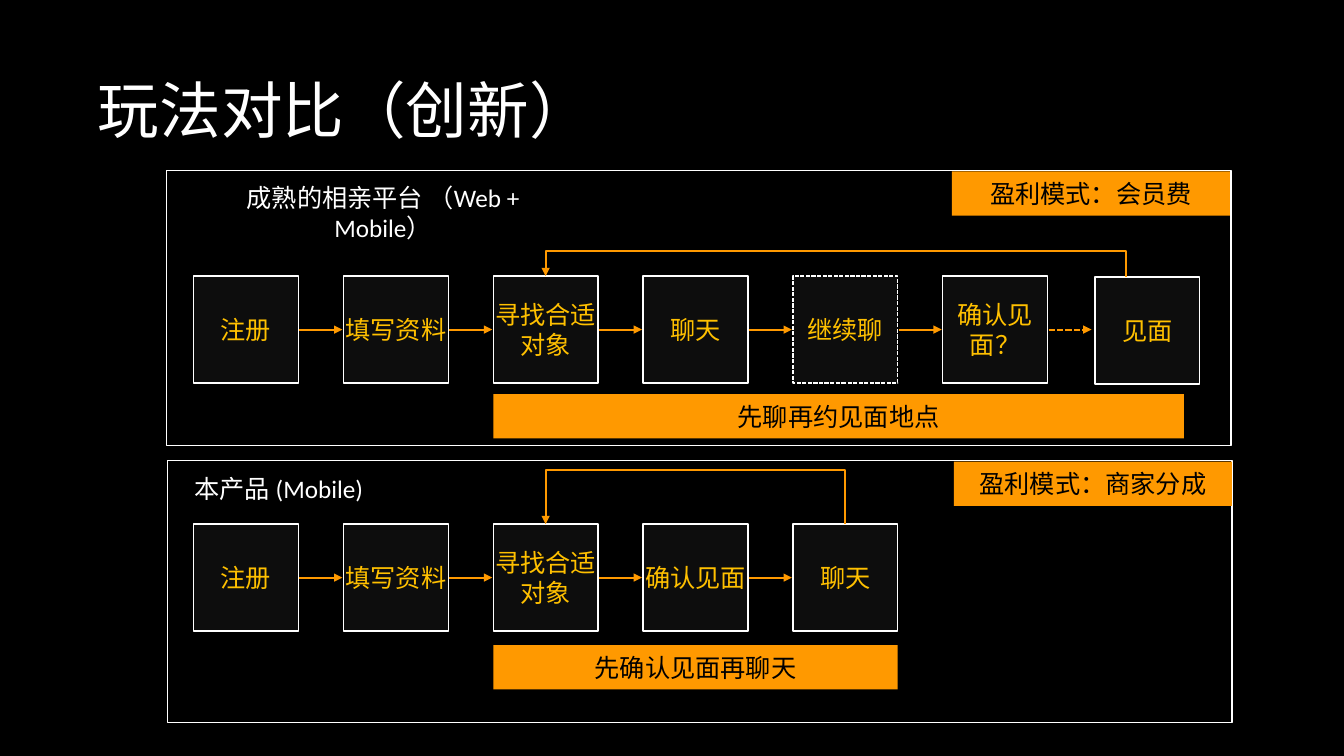
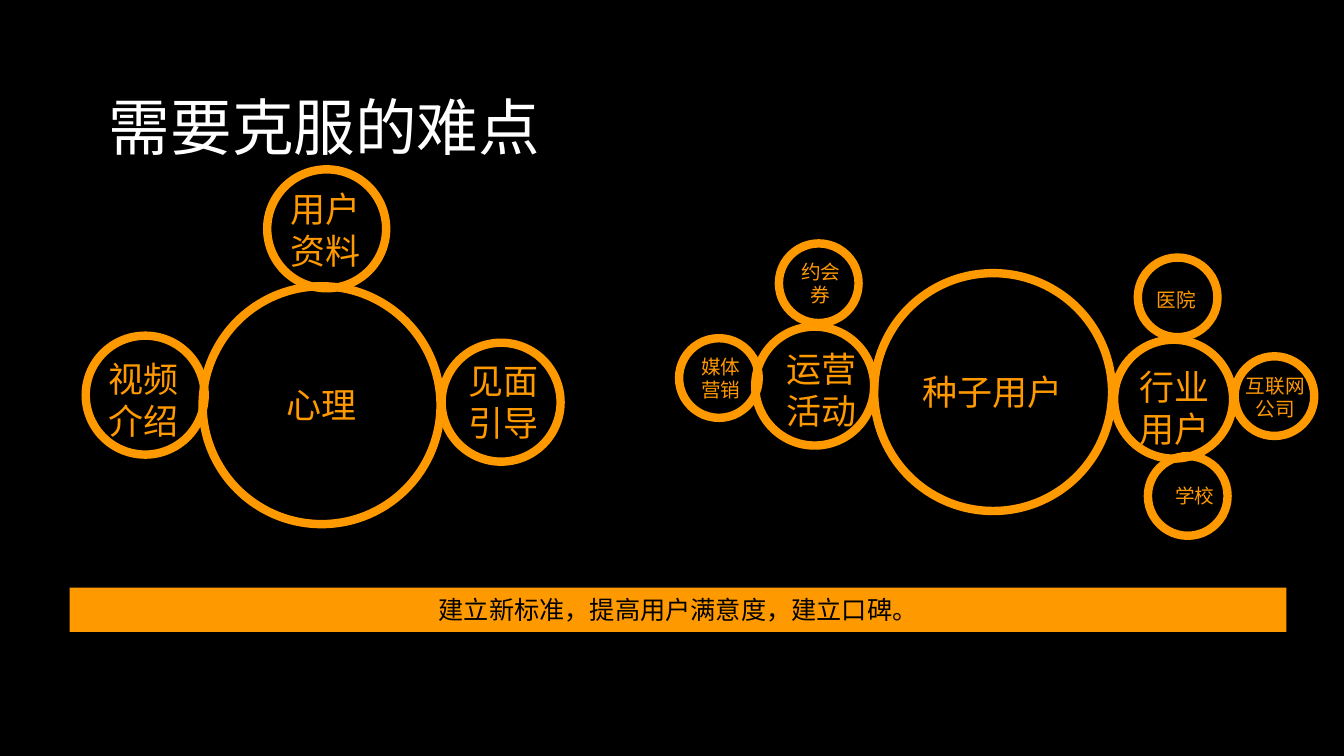
"""Builds two slides: a comparison of dating flows and the difficulties to overcome."""
from dataclasses import dataclass
from typing import Optional

import pptx
import pptx.dml.color
import pptx.enum.dml
import pptx.enum.shapes
import pptx.enum.text
import pptx.oxml
import pptx.oxml.ns
import pptx.util
from pptx.util import Inches

BLACK, WHITE, ORANGE, GOLD, CHARCOAL = "000000", "FFFFFF", "FF9900", "FFC000", "0D0D0D"
FONT = "Calibri"
BAND_HEIGHT = 0.44
STEP_WIDTH, STEP_HEIGHT = 1.04, 1.06
FIRST_STEP_LEFT = 1.92
STEP_PITCH = (9.35 - FIRST_STEP_LEFT) / 5
DASH = pptx.enum.dml.MSO_LINE.SQUARE_DOT
RECTANGLE = pptx.enum.shapes.MSO_SHAPE.RECTANGLE
OVAL = pptx.enum.shapes.MSO_SHAPE.OVAL
CENTER = pptx.enum.text.PP_ALIGN.CENTER
LEFT = pptx.enum.text.PP_ALIGN.LEFT


@dataclass
class Step:
    """One box of a flow; left is given only when it leaves the regular pitch."""
    text: str
    dashed: bool = False
    left: Optional[float] = None
    drop: float = 0


@dataclass
class Flow:
    """A framed process with its revenue tag, summary band and return arrow."""
    frame: tuple[float, float, float, float]
    heading: str
    heading_box: tuple[float, float, float, float]
    heading_wraps: bool
    revenue: str
    revenue_at: tuple[float, float]
    summary: str
    summary_top: float
    summary_width: float
    steps_top: float
    steps: list[Step]
    return_x: float
    return_top: float


@dataclass
class Bubble:
    """A ring around a centre; the label may be shifted a little from it."""
    text: str
    x: float
    y: float
    diameter: float
    size: int
    shift_x: float = 0
    shift_y: float = 0


def color(value: str) -> pptx.dml.color.RGBColor:
    """Turn a hex string into a colour."""
    return pptx.dml.color.RGBColor.from_string(value)


def write(shape, text: str, size: int, ink: str, align=CENTER, inset: float = 0,
          wrap: bool = True, anchor=pptx.enum.text.MSO_ANCHOR.MIDDLE) -> None:
    """Put formatted text into a shape, one paragraph per line."""
    frame = shape.text_frame
    frame.text = text
    frame.word_wrap = wrap
    frame.auto_size = pptx.enum.text.MSO_AUTO_SIZE.NONE
    frame.vertical_anchor = anchor
    frame.margin_left = frame.margin_right = Inches(inset)
    frame.margin_top = frame.margin_bottom = Inches(inset)
    for paragraph in frame.paragraphs:
        paragraph.alignment = align
        for run in paragraph.runs:
            run.font.size = pptx.util.Pt(size)
            run.font.name = FONT
            run.font.color.rgb = color(ink)


def style_line(shape, ink: str, width: float, dashed: bool = False) -> None:
    """Set colour, width and dash of an outline."""
    shape.line.color.rgb = color(ink)
    shape.line.width = pptx.util.Pt(width)
    if dashed:
        shape.line.dash_style = DASH


def add_arrowhead(shape) -> None:
    """End a line with a triangle."""
    head = pptx.oxml.parse_xml(
        f'<a:tailEnd {pptx.oxml.ns.nsdecls("a")} type="triangle"/>')
    shape.line._get_or_add_ln().append(head)


def add_box(slide, kind, left: float, top: float, width: float, height: float,
            fill: Optional[str] = None, line: Optional[str] = None,
            line_width: float = 1, dashed: bool = False):
    """Add a preset shape with an optional fill and outline."""
    shape = slide.shapes.add_shape(kind, Inches(left), Inches(top), Inches(width), Inches(height))
    shape.shadow.inherit = False
    if fill:
        shape.fill.solid()
        shape.fill.fore_color.rgb = color(fill)
    else:
        shape.fill.background()
    if line:
        style_line(shape, line, line_width, dashed)
    else:
        shape.line.fill.background()
    return shape


def add_band(slide, text: str, left: float, top: float, width: float) -> None:
    """Add an orange band with black text."""
    write(add_box(slide, RECTANGLE, left, top, width, BAND_HEIGHT, fill=ORANGE), text, 18, BLACK)


def add_label(slide, text: str, left: float, top: float, width: float, height: float,
              size: int, ink: str, **options) -> None:
    """Add a centred text box."""
    box = slide.shapes.add_textbox(Inches(left), Inches(top), Inches(width), Inches(height))
    write(box, text, size, ink, inset=0.05, **options)


def add_arrow(slide, start: float, end: float, y: float, dashed: bool) -> None:
    """Add a horizontal arrow between two steps."""
    connector = slide.shapes.add_connector(
        pptx.enum.shapes.MSO_CONNECTOR.STRAIGHT, Inches(start), Inches(y), Inches(end), Inches(y))
    style_line(connector, ORANGE, 1.5, dashed)
    add_arrowhead(connector)
    connector._element.spPr.append(
        pptx.oxml.parse_xml(f'<a:effectLst {pptx.oxml.ns.nsdecls("a")}/>'))


def add_return_arrow(slide, start: tuple[float, float], end: tuple[float, float],
                     top: float) -> None:
    """Add an arrow that rises, runs back and drops onto an earlier step."""
    builder = slide.shapes.build_freeform(
        Inches(start[0]), Inches(start[1]), scale=1.0)
    corners = [(start[0], top), (end[0], top), end]
    builder.add_line_segments([(Inches(x), Inches(y)) for x, y in corners], close=False)
    shape = builder.convert_to_shape()
    shape.shadow.inherit = False
    shape.fill.background()
    style_line(shape, ORANGE, 1.5)
    add_arrowhead(shape)


def add_title_slide(presentation, title: str, left: float, top: float, inset: float):
    """Add a title-only slide and place its title."""
    slide = presentation.slides.add_slide(presentation.slide_layouts[5])
    shape = slide.shapes.title
    shape.left, shape.top = Inches(left), Inches(top)
    shape.width, shape.height = Inches(11.5), Inches(1.45)
    write(shape, title, 44, WHITE, align=LEFT, inset=inset)
    shape.text_frame.paragraphs[0].line_spacing = 0.9
    return slide


def draw_flow(slide, flow: Flow) -> None:
    """Draw a frame, its steps and the arrows between them."""
    add_box(slide, RECTANGLE, *flow.frame, line=WHITE)
    add_label(slide, flow.heading, *flow.heading_box, 18, WHITE, wrap=flow.heading_wraps,
              anchor=pptx.enum.text.MSO_ANCHOR.TOP)
    lefts = [FIRST_STEP_LEFT + index * STEP_PITCH if step.left is None else step.left
             for index, step in enumerate(flow.steps)]
    for step, left in zip(flow.steps, lefts):
        box = add_box(slide, RECTANGLE, left, flow.steps_top + step.drop, STEP_WIDTH,
                      STEP_HEIGHT, fill=CHARCOAL, line=WHITE, dashed=step.dashed)
        write(box, step.text, 18, GOLD)
    middle = flow.steps_top + STEP_HEIGHT / 2
    for left, step in zip(lefts, flow.steps[1:]):
        end = left + STEP_PITCH - 0.01
        add_arrow(slide, left + STEP_WIDTH + 0.01, end, middle, step.left is not None)
    add_return_arrow(slide, (flow.return_x, flow.steps_top + flow.steps[-1].drop),
                     (lefts[2] + STEP_WIDTH / 2, flow.steps_top), flow.return_top)
    add_band(slide, flow.summary, lefts[2], flow.summary_top, flow.summary_width)
    add_band(slide, flow.revenue, *flow.revenue_at, 2.76)


def draw_bubble(slide, bubble: Bubble) -> None:
    """Draw a ring and its label."""
    radius = bubble.diameter / 2
    add_box(slide, OVAL, bubble.x - radius, bubble.y - radius, bubble.diameter,
            bubble.diameter, line=ORANGE, line_width=6)
    width, height = 1.5, 0.94
    add_label(slide, bubble.text, bubble.x + bubble.shift_x - width / 2,
              bubble.y + bubble.shift_y - height / 2, width, height,
              bubble.size, ORANGE, wrap=False)


FLOWS = [
    Flow(frame=(1.65, 1.69, 10.56, 2.73),
         heading="成熟的相亲平台 （Web + Mobile）", heading_box=(2.25, 1.76, 3.1, 0.72),
         heading_wraps=True, revenue="盈利模式：会员费", revenue_at=(9.44, 1.7),
         summary="先聊再约见面地点", summary_top=3.91, summary_width=6.85, steps_top=2.74,
         steps=[Step("注册"), Step("填写资料"), Step("寻找合适对象"), Step("聊天"),
                Step("继续聊", dashed=True), Step("确认见\v面？"),
                Step("见面", left=10.86, drop=0.01)],
         return_x=11.17, return_top=2.49),
    Flow(frame=(1.66, 4.57, 10.56, 2.6),
         heading="本产品 (Mobile)", heading_box=(1.84, 4.65, 1.85, 0.41),
         heading_wraps=False, revenue="盈利模式：商家分成", revenue_at=(9.46, 4.58),
         summary="先确认见面再聊天", summary_top=6.4, summary_width=4.01, steps_top=5.2,
         steps=[Step("注册"), Step("填写资料"), Step("寻找合适对象"), Step("确认见面"),
                Step("聊天")],
         return_x=8.38, return_top=4.66),
]

LARGE, MEDIUM, SMALL = 2.36, 1.18, 0.79
BUBBLES = [
    Bubble("心理", 3.19, 4.02, LARGE, 25, 0, -0.01),
    Bubble("用户\n资料", 3.24, 2.27, MEDIUM, 25, -0.01, 0.01),
    Bubble("视频\n介绍", 1.44, 3.92, MEDIUM, 25, -0.02, 0.04),
    Bubble("见面\n引导", 4.97, 3.99, MEDIUM, 25, 0.02, -0.01),
    Bubble("种子用户", 9.85, 3.89, LARGE, 25, -0.01, -0.01),
    Bubble("运营\n活动", 8.08, 3.83, MEDIUM, 25, 0.07, 0.03),
    Bubble("约会\n券", 8.12, 2.81, SMALL, 14, 0.02, 0),
    Bubble("媒体\n营销", 7.13, 3.75, SMALL, 14, 0.02, 0),
    Bubble("行业\n用户", 11.64, 3.96, MEDIUM, 25, 0.01, 0.08),
    Bubble("医院", 11.68, 2.95, SMALL, 14, -0.01, 0.02),
    Bubble("互联网\n公司", 12.64, 3.93, SMALL, 14, 0.01, 0.01),
    Bubble("学校", 11.78, 4.92, SMALL, 14, 0.07, 0),
]


def main() -> None:
    """Build and save the presentation."""
    presentation = pptx.Presentation()
    presentation.slide_width, presentation.slide_height = Inches(13.33), Inches(7.5)
    background = presentation.slide_master.background.fill
    background.solid()
    background.fore_color.rgb = color(BLACK)

    comparison = add_title_slide(presentation, "玩法对比（创新）", 0.92, 0.4, 0.05)
    for flow in FLOWS:
        draw_flow(comparison, flow)

    difficulties = add_title_slide(presentation, "需要克服的难点", 1.08, 0.57, 0)
    for bubble in BUBBLES:
        draw_bubble(difficulties, bubble)
    add_band(difficulties, "建立新标准，提高用户满意度，建立口碑。", 0.69, 5.83, 12.07)

    presentation.save("out.pptx")


main()
